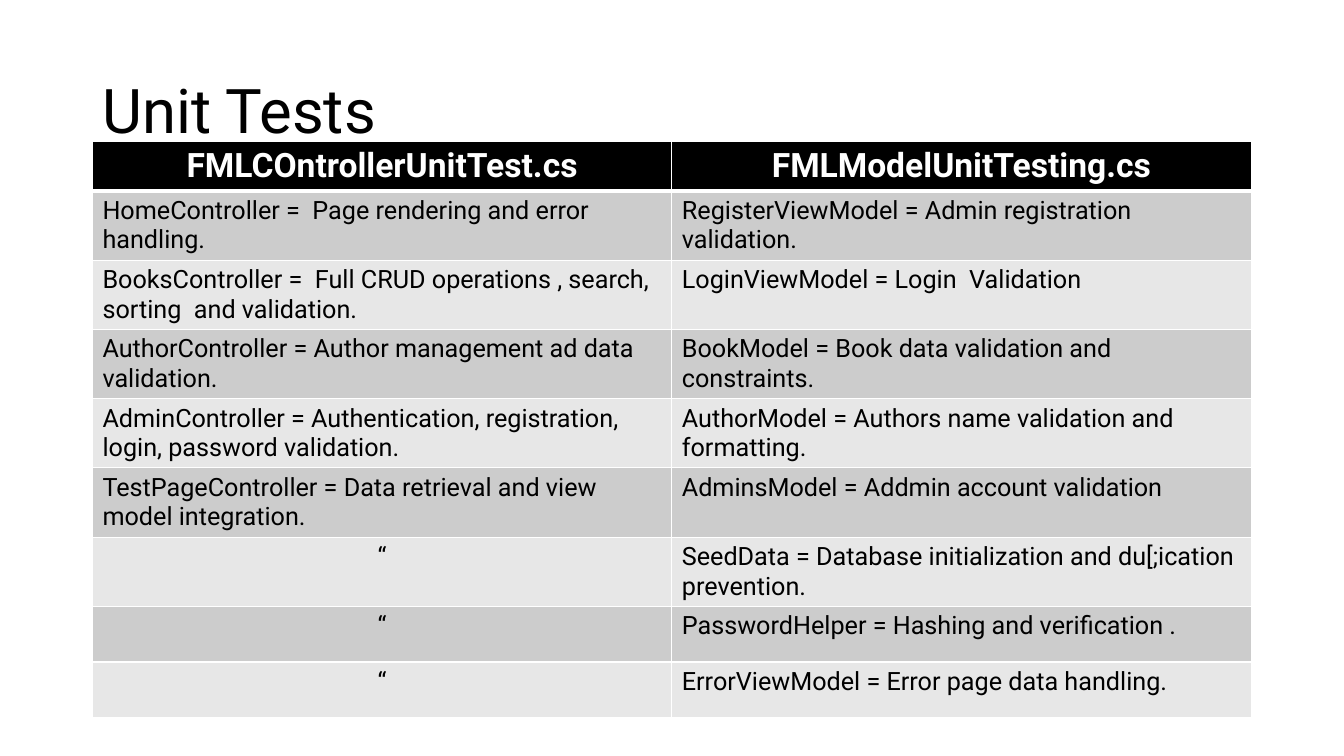
from pptx import Presentation
from pptx.dml.color import RGBColor
from pptx.enum.text import MSO_ANCHOR, MSO_AUTO_SIZE, PP_ALIGN
from pptx.oxml.ns import qn
from pptx.util import Cm, Pt
from lxml import etree

LEFT, CENTER = PP_ALIGN.LEFT, PP_ALIGN.CENTER
MIDDLE, TOP = MSO_ANCHOR.MIDDLE, MSO_ANCHOR.TOP
NO_FIT = MSO_AUTO_SIZE.NONE
FONT = "Roboto"
BLACK, WHITE = "000000", "FFFFFF"
BANDS = ["CCCCCC", "E7E7E7"]

ROWS = [
    ("FMLCOntrollerUnitTest.cs", "FMLModelUnitTesting.cs"),
    ("HomeController =  Page rendering and error handling.",
     "RegisterViewModel = Admin registration validation."),
    ("BooksController =  Full CRUD operations , search, sorting  and validation.",
     "LoginViewModel = Login  Validation"),
    ("AuthorController = Author management ad data validation.",
     "BookModel = Book data validation and constraints."),
    ("AdminController = Authentication, registration, login, password validation.",
     "AuthorModel = Authors name validation and formatting."),
    ("TestPageController = Data retrieval and view model integration.",
     "AdminsModel = Addmin account validation"),
    ("“", "SeedData = Database initialization and du[;ication prevention."),
    ("“", "PasswordHelper = Hashing and verification ."),
    ("“", "ErrorViewModel = Error page data handling."),
]
HEIGHTS = [1.24] + [1.5] * 6 + [1.4] * 2


def add_run(par, text, size, color, align, bold=False):
    par.alignment = align
    run = par.add_run()
    run.text = text
    font = run.font
    font.name, font.size, font.bold = FONT, Pt(size), bold
    font.color.rgb = RGBColor.from_string(color)


def add_edge(cell, side, width):
    line = etree.SubElement(cell._tc.get_or_add_tcPr(), qn("a:ln" + side), w=str(Pt(width)))
    fill = etree.SubElement(line, qn("a:solidFill"))
    etree.SubElement(fill, qn("a:srgbClr"), val=WHITE)


# Slide
prs = Presentation()
prs.slide_width, prs.slide_height = Cm(33.87), Cm(19.05)
slide = prs.slides.add_slide(prs.slide_layouts[5])

# Title
title = slide.shapes.title
title.left, title.top = Cm(2.33), Cm(1.01)
title.width, title.height = Cm(29.21), Cm(3.68)
frame = title.text_frame
frame.auto_size, frame.vertical_anchor = NO_FIT, MIDDLE
head = frame.paragraphs[0]
head.line_spacing = 0.9
add_run(head, "Unit Tests", 44, BLACK, LEFT)

# Table grid
table = slide.shapes.add_table(len(ROWS), 2, Cm(2.33), Cm(3.56),
                               Cm(29.21), Cm(sum(HEIGHTS))).table
for col in table.columns:
    col.width = Cm(14.6)

# Header and banded rows
for r, texts in enumerate(ROWS):
    table.rows[r].height = Cm(HEIGHTS[r])
    for c, text in enumerate(texts):
        cell = table.cell(r, c)
        cell.vertical_anchor = TOP
        for side in "LRTB":
            thick = (r, side) in [(0, "B"), (1, "T")]
            add_edge(cell, side, 3 if thick else 1)
        cell.fill.solid()
        shade = BANDS[(r - 1) % 2] if r else BLACK
        cell.fill.fore_color.rgb = RGBColor.from_string(shade)
        par = cell.text_frame.paragraphs[0]
        if r == 0:
            add_run(par, text, 24, WHITE, CENTER, True)
        else:
            add_run(par, text, 18, BLACK, CENTER if text == "“" else LEFT)

prs.save("out.pptx")
